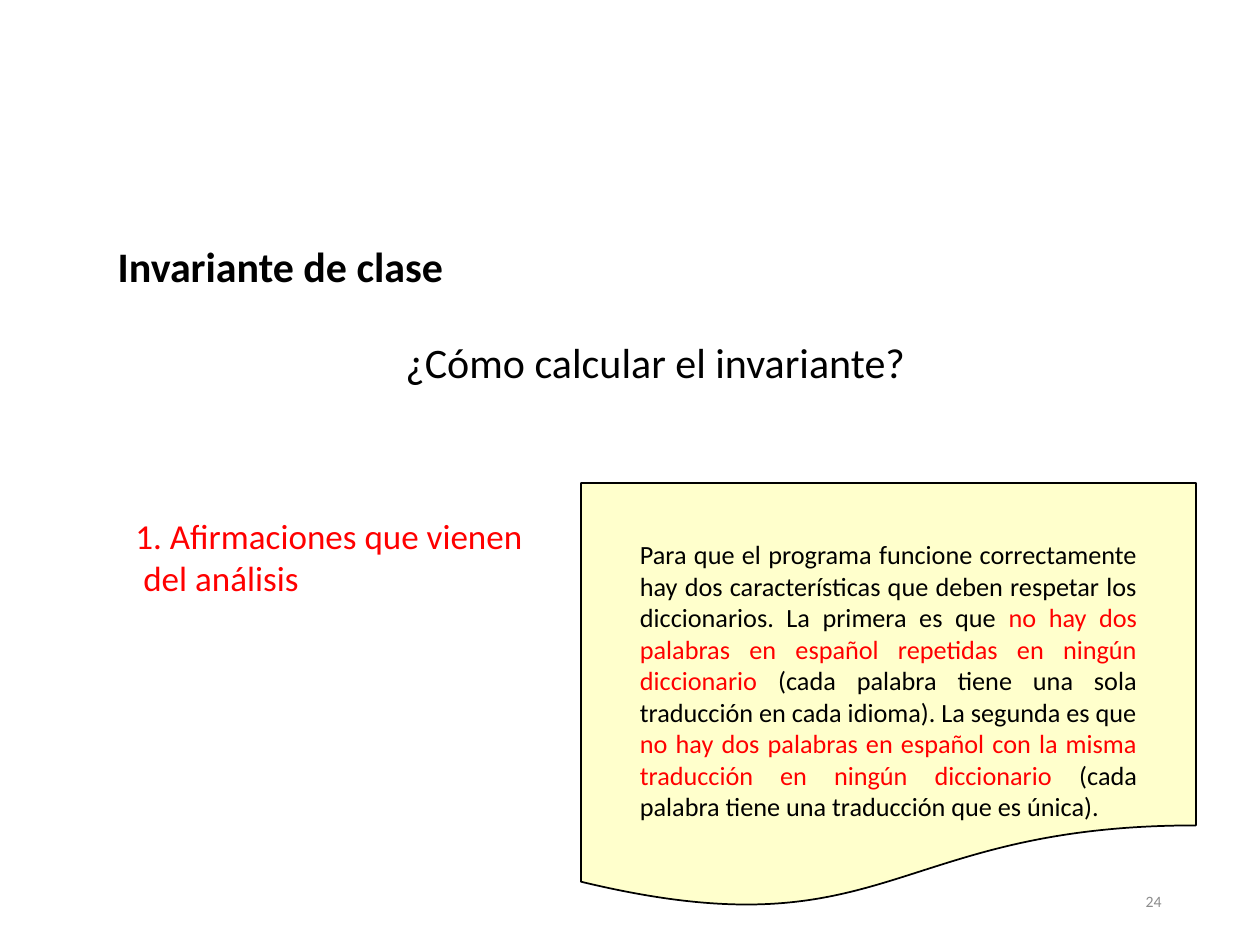
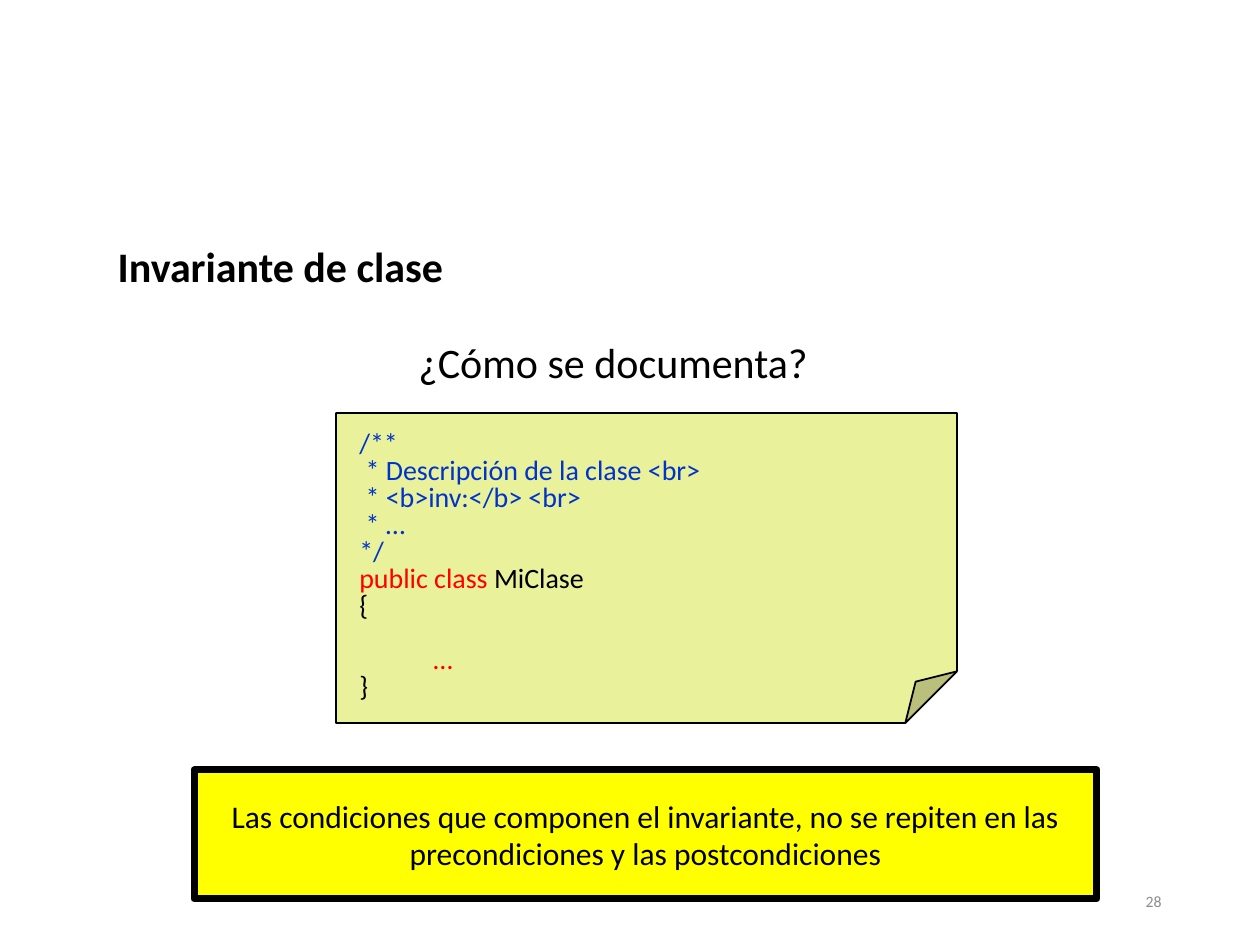
import pptx
import pptx.dml.color
import pptx.enum.shapes
import pptx.enum.text
import pptx.util

ALIGN = pptx.enum.text.PP_ALIGN
ANCHOR = pptx.enum.text.MSO_ANCHOR
SHAPE = pptx.enum.shapes.MSO_SHAPE

PIXELS_PER_INCH = 126
FONT = "Calibri"
BLACK = "000000"
RED = "FF0000"
BLUE = "0033CC"
GRAY = "8C8C8C"
CREAM = "FFFFCC"
LIME = "E9F19A"
YELLOW = "FFFF00"

CODE_INDENT = 24
BODY_INDENT = 98
CODE_LINES = [
    [("/**", BLUE)],
    [(" * Descripción de la clase <br>", BLUE)],
    [(" * <b>inv:</b> <br>", BLUE)],
    [(" * …", BLUE)],
    [("*/", BLUE)],
    [("public class ", RED), ("MiClase", BLACK)],
    [("{", BLACK)],
    [("…", RED)],
    [("}", BLACK)],
]
CODE_BODY_LINE = 7

ANALYSIS = [
    ("Para que el programa funcione correctamente hay dos características que "
     "deben respetar los diccionarios. La primera es que ", BLACK),
    ("no hay dos palabras en español repetidas en ningún diccionario ", RED),
    ("(cada palabra tiene una sola traducción en cada idioma). "
     "La segunda es que ", BLACK),
    ("no hay dos palabras en español con la misma traducción en ningún "
     "diccionario", RED),
    (" (cada palabra tiene una traducción que es única).", BLACK),
]


def px(pixels):
    """Convert whole pixels to EMU."""
    return pptx.util.Emu(round(pixels * 914400 / PIXELS_PER_INCH))


def color(value):
    """Turn a hex string into an RGB colour."""
    return pptx.dml.color.RGBColor.from_string(value)


def write(shape, lines, size, align=ALIGN.LEFT, anchor=ANCHOR.TOP,
          wrap=True, bold=False):
    """Fill a shape with lines, each a list of (text, colour) runs."""
    frame = shape.text_frame
    frame.word_wrap = wrap
    frame.vertical_anchor = anchor
    for index, runs in enumerate(lines):
        paragraph = frame.add_paragraph() if index else frame.paragraphs[0]
        paragraph.alignment = align
        for text, hex_color in runs:
            run = paragraph.add_run()
            run.text = text
            run.font.name = FONT
            run.font.size = pptx.util.Pt(size)
            run.font.bold = bold
            run.font.color.rgb = color(hex_color)
    return frame


def add_text(shapes, box, lines, size, **options):
    """Add a text box at a pixel box and return its text frame."""
    textbox = shapes.add_textbox(*map(px, box))
    return write(textbox, lines, size, **options)


def add_panel(shapes, preset, box, fill, line_width=1):
    """Add a filled preset shape with a black outline."""
    panel = shapes.add_shape(preset, *map(px, box))
    panel.shadow.inherit = False
    panel.fill.solid()
    panel.fill.fore_color.rgb = color(fill)
    panel.line.color.rgb = color(BLACK)
    panel.line.width = pptx.util.Pt(line_width)
    return panel


def add_slide(presentation, question, left, width, number):
    """Add a slide with the shared title, a question and a page number."""
    slide = presentation.slides.add_slide(presentation.slide_layouts[5])
    title = slide.shapes.title
    title.left, title.top, title.width, title.height = map(
        px, (105, 234, 674, 63))
    frame = write(title, [[("Invariante de clase", BLACK)]], 24, bold=True)
    frame.auto_size = pptx.enum.text.MSO_AUTO_SIZE.NONE
    add_text(slide.shapes, (left, 330, width, 63), [[(question, BLACK)]], 24,
             wrap=False)
    add_text(slide.shapes, (890, 876, 284, 50), [[(number, GRAY)]], 9,
             align=ALIGN.RIGHT, anchor=ANCHOR.MIDDLE)
    return slide


def add_analysis(slide):
    """Add the document panel with the statements from the analysis."""
    document = add_panel(slide.shapes, SHAPE.FLOWCHART_DOCUMENT,
                         (581, 483, 615, 427), CREAM)
    frame = write(document, [ANALYSIS], 15, align=ALIGN.JUSTIFY,
                  anchor=ANCHOR.MIDDLE)
    frame.margin_left = frame.margin_right = px(59)
    frame.margin_top = px(67)
    frame.margin_bottom = px(15)


def add_code_note(slide):
    """Add the folded note with the documented class."""
    note = slide.shapes.add_group_shape()
    add_panel(note.shapes, SHAPE.FOLDED_CORNER, (336, 413, 621, 310), LIME)
    frame = add_text(note.shapes, (323, 426, 631, 285), CODE_LINES, 16)
    for index, paragraph in enumerate(frame.paragraphs):
        is_body = index == CODE_BODY_LINE
        indent = BODY_INDENT if is_body else CODE_INDENT
        properties = paragraph._p.get_or_add_pPr()
        properties.set("marL", str(px(indent)))
        properties.set("indent", "0")
        paragraph.line_spacing = 0.8
        if is_body:
            paragraph.space_before = pptx.util.Pt(15.6)


def main():
    """Build both slides and save the presentation."""
    presentation = pptx.Presentation()
    presentation.slide_width = px(1260)
    presentation.slide_height = px(945)

    slide = add_slide(presentation, "¿Cómo calcular el invariante?",
                      393, 536, "24")
    add_analysis(slide)
    add_text(slide.shapes, (123, 508, 422, 97),
             [[("1. Afirmaciones que vienen", RED)],
              [(" del análisis", RED)]], 20, wrap=False)

    slide = add_slide(presentation, "¿Cómo se documenta?", 406, 423, "28")
    add_code_note(slide)
    rule = add_panel(slide.shapes, SHAPE.RECTANGLE, (194, 770, 903, 129),
                     YELLOW, line_width=4)
    write(rule, [[("Las condiciones que componen el invariante, no se repiten "
                   "en las precondiciones y las postcondiciones", BLACK)]],
          18, align=ALIGN.CENTER, anchor=ANCHOR.MIDDLE)

    presentation.save("out.pptx")


main()
